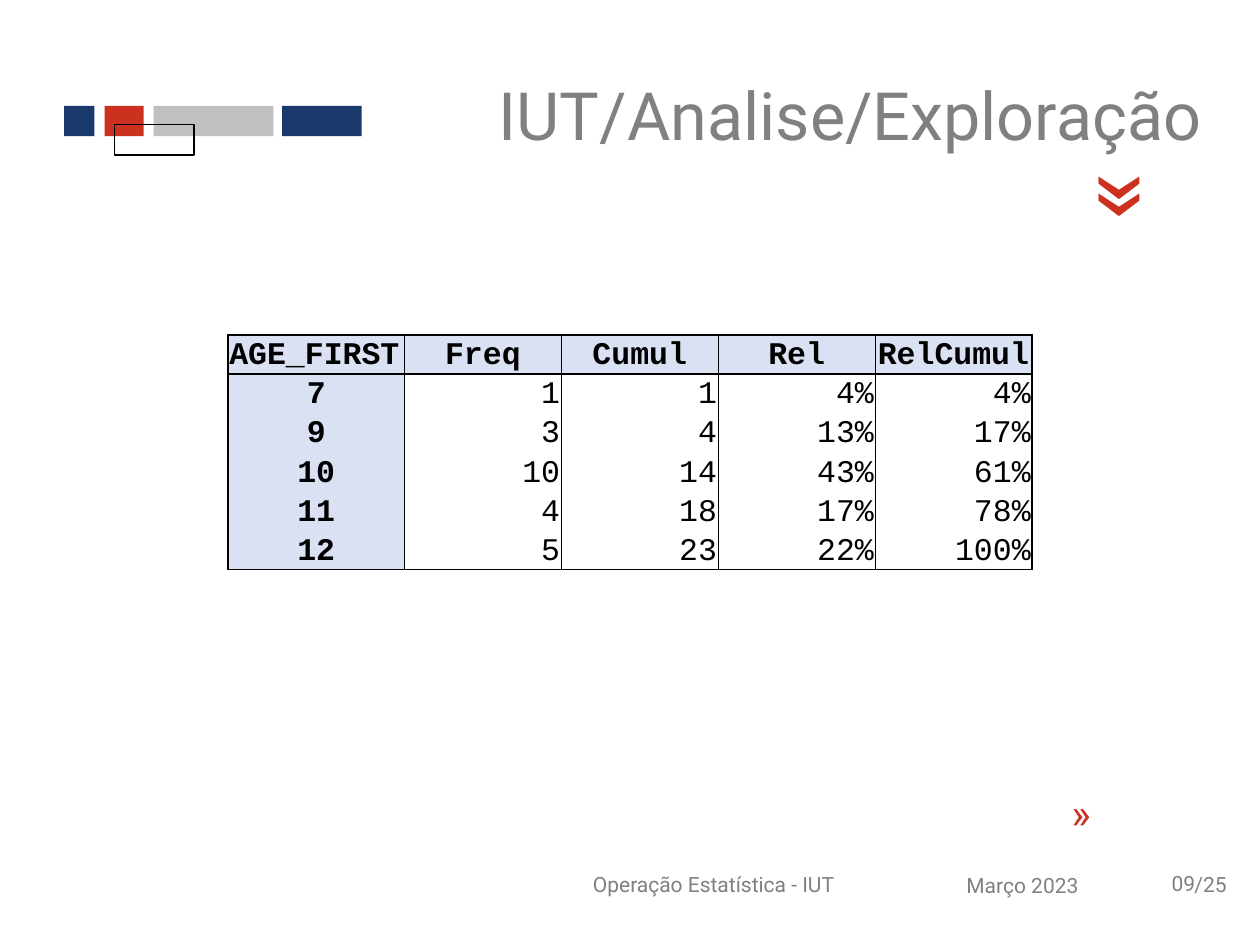
from dataclasses import dataclass

from lxml import etree
from pptx import Presentation
from pptx import util as u
from pptx.dml.color import RGBColor
from pptx.enum import shapes, text
from pptx.oxml import ns

Inches = u.Inches


@dataclass(frozen=True)
class Theme:
    navy: str = "1A3A6E"
    red: str = "CC301F"
    silver: str = "C0C0C0"
    gray: str = "808080"
    black: str = "000000"
    header: str = "D9E1F2"
    font: str = "Roboto"
    table_font: str = "Courier New"
    title_size: int = 38
    footer_size: int = 12
    small_mark: int = 24
    large_mark: int = 60
    table_size: int = 18


THEME = Theme()
ALIGN = text.PP_ALIGN
MIDDLE = text.MSO_ANCHOR.MIDDLE
ROWS = [
    ("AGE_FIRST", "Freq", "Cumul", "Rel", "RelCumul"),
    ("7", "1", "1", "4%", "4%"),
    ("9", "3", "4", "13%", "17%"),
    ("10", "10", "14", "43%", "61%"),
    ("11", "4", "18", "17%", "78%"),
    ("12", "5", "23", "22%", "100%"),
]


def color(value):
    return RGBColor.from_string(value)


def style_text(frame, content, size, ink, align=ALIGN.LEFT, font=THEME.font, bold=False):
    frame.text = content
    paragraph = frame.paragraphs[0]
    paragraph.alignment = align
    for run in paragraph.runs:
        run.font.name = font
        run.font.size = u.Pt(size)
        run.font.bold = bold
        run.font.color.rgb = color(ink)


def add_bar(slide, left, top, width, fill=None):
    shape = slide.shapes.add_shape(
        shapes.MSO_SHAPE.RECTANGLE, Inches(left), Inches(top), Inches(width), Inches(0.24))
    shape.shadow.inherit = False
    if fill:
        shape.fill.solid()
        shape.fill.fore_color.rgb = color(fill)
        shape.line.fill.background()
    else:
        shape.fill.background()
        shape.line.color.rgb = color(THEME.black)
        shape.line.width = u.Pt(0.75)


def add_label(slide, box, content, size=THEME.footer_size, ink=THEME.gray,
              align=ALIGN.LEFT, anchor=MIDDLE):
    shape = slide.shapes.add_textbox(*map(Inches, box))
    frame = shape.text_frame
    frame.word_wrap = True
    frame.vertical_anchor = anchor
    style_text(frame, content, size, ink, align)
    return shape


def add_mark(slide, box, size, rotation):
    """Add a guillemet turned by the given angle."""
    shape = add_label(slide, box, "«", size, THEME.red, anchor=text.MSO_ANCHOR.TOP)
    shape.rotation = rotation


def add_title(slide):
    title = slide.shapes.title
    title.left, title.top, title.width, title.height = map(Inches, (3.03, 0.44, 6.61, 0.93))
    title.text_frame.vertical_anchor = MIDDLE
    style_text(title.text_frame, "IUT/Analise/Exploração", THEME.title_size,
               THEME.gray, ALIGN.RIGHT)


def set_border(cell, side, width):
    """Draw one cell edge; a width of zero hides it."""
    line = etree.SubElement(cell._tc.get_or_add_tcPr(), ns.qn(f"a:ln{side}"))
    if width:
        line.set("w", str(u.Pt(width)))
        fill = etree.SubElement(line, ns.qn("a:solidFill"))
        etree.SubElement(fill, ns.qn("a:srgbClr"), val=THEME.black)
    else:
        etree.SubElement(line, ns.qn("a:noFill"))


def format_cell(cell, content, row, column):
    last_row, last_column = len(ROWS) - 1, len(ROWS[0]) - 1
    heading = row == 0 or column == 0
    set_border(cell, "L", 1 if column <= 1 else 0.5)
    set_border(cell, "R", 1 if column in (0, last_column) else 0.5)
    set_border(cell, "T", 1 if row <= 1 else 0)
    set_border(cell, "B", 1 if row in (0, last_row) else 0)
    if heading:
        cell.fill.solid()
        cell.fill.fore_color.rgb = color(THEME.header)
    else:
        cell.fill.background()
    cell.margin_left = cell.margin_right = cell.margin_top = Inches(0.01)
    cell.margin_bottom = 0
    cell.vertical_anchor = text.MSO_ANCHOR.BOTTOM
    align = ALIGN.CENTER if heading else ALIGN.RIGHT
    if row == column == 0:
        align = ALIGN.LEFT
    style_text(cell.text_frame, content, THEME.table_size, THEME.black, align,
               THEME.table_font, heading)


def add_frequency_table(slide):
    widths = [1.4] + [1.245] * 4
    row_height = 0.31
    table = slide.shapes.add_table(
        len(ROWS), len(widths), Inches(1.81), Inches(2.66),
        Inches(sum(widths)), Inches(row_height * len(ROWS))).table
    table.first_row = table.horz_banding = False
    for column, width in zip(table.columns, widths):
        column.width = Inches(width)
    for r, values in enumerate(ROWS):
        table.rows[r].height = Inches(row_height)
        for c, value in enumerate(values):
            format_cell(table.cell(r, c), value, r, c)


def main():
    presentation = Presentation()
    presentation.slide_width, presentation.slide_height = Inches(10), Inches(7.5)
    slide = presentation.slides.add_slide(presentation.slide_layouts[5])

    # Colour bars
    for left, width, fill in ((0.51, 0.24, THEME.navy), (0.83, 0.31, THEME.red),
                              (1.22, 0.95, THEME.silver), (2.24, 0.63, THEME.navy)):
        add_bar(slide, left, 0.84, width, fill)
    add_bar(slide, 0.91, 0.99, 0.63)

    # Footer
    total = add_label(slide, (9.1, 6.74, 0.94, 0.55), "/25")
    total.text_frame.margin_left = Inches(0.38)
    add_label(slide, (4.13, 6.74, 3.07, 0.55), "Operação Estatística - IUT", align=ALIGN.CENTER)
    add_label(slide, (7.2, 6.75, 1.83, 0.55), "Março 2023", align=ALIGN.CENTER)
    add_label(slide, (9.2, 6.86, 0.44, 0.3), "09")

    # Red marks and title
    add_mark(slide, (8.25, 6.28, 0.51, 0.5), THEME.small_mark, 180)
    add_mark(slide, (8.5, 1.03, 0.55, 1.1), THEME.large_mark, 270)
    add_title(slide)

    # Frequency table
    add_frequency_table(slide)

    presentation.save("out.pptx")


if __name__ == "__main__":
    main()
